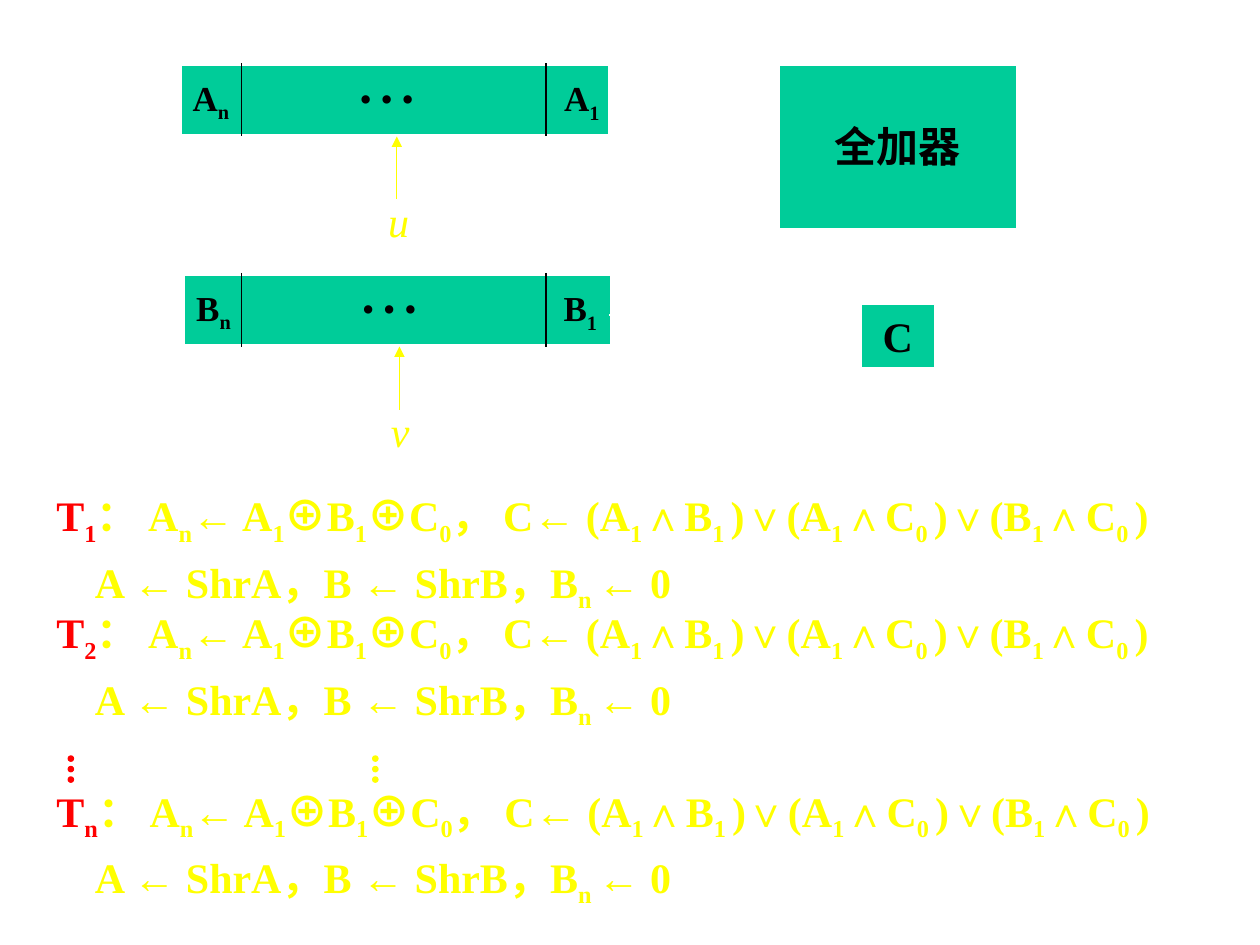
from dataclasses import dataclass

import pptx
import pptx.dml.color
import pptx.enum.shapes
import pptx.enum.text
import pptx.oxml
import pptx.oxml.ns
import pptx.util

Pt = pptx.util.Pt
ALIGN = pptx.enum.text.PP_ALIGN
SHAPE = pptx.enum.shapes.MSO_SHAPE
COLORS = {"box": "00CC99", "ink": "000000", "wire": "FFFFFF",
          "formula": "FFFF00", "step": "FF0000"}
SERIF = "Times New Roman"
CJK = "Noto Sans CJK SC"


@dataclass
class Style:
    size: float = 24
    color: str = "ink"
    bold: bool = True
    italic: bool = False


@dataclass
class Register:
    name: str
    pointer: str
    left: float
    top: float
    low_bit_left: float


@dataclass
class Wire:
    points: list[tuple[float, float]]
    arrow: bool = True


def rgb(color: str) -> pptx.dml.color.RGBColor:
    return pptx.dml.color.RGBColor.from_string(COLORS[color])


def add_markup(paragraph, markup: str, style: Style) -> None:
    """Add runs; braces enclose subscripts, and ⊕ takes the CJK font."""
    for index, part in enumerate(markup.replace("}", "{").split("{")):
        for piece in part.replace("⊕", "|⊕|").split("|"):
            if not piece:
                continue
            run = paragraph.add_run()
            run.text = piece
            font = run.font
            font.size, font.bold, font.italic = Pt(style.size), style.bold, style.italic
            font.color.rgb = rgb(style.color)
            font.name = CJK if piece == "⊕" else SERIF
            properties = run._r.get_or_add_rPr()
            east_asian = pptx.oxml.parse_xml(
                f'<a:ea {pptx.oxml.ns.nsdecls("a")} typeface="{CJK}"/>')
            properties.find(pptx.oxml.ns.qn("a:latin")).addnext(east_asian)
            if index % 2:
                properties.set("baseline", "-25000")


def fill_text(shape, markup: str, style: Style, align=ALIGN.CENTER) -> None:
    frame = shape.text_frame
    frame.word_wrap = True
    frame.auto_size = pptx.enum.text.MSO_AUTO_SIZE.SHAPE_TO_FIT_TEXT
    frame.paragraphs[0].alignment = align
    add_markup(frame.paragraphs[0], markup, style)


def add_label(slide, left: float, top: float, width: float, height: float,
              markup: str, style: Style, align=ALIGN.CENTER) -> None:
    box = slide.shapes.add_textbox(Pt(left), Pt(top), Pt(width), Pt(height))
    fill_text(box, markup, style, align)


def add_block(slide, left: float, top: float, width: float, height: float,
              fill: str = "box", border: str = "wire", weight: float = 3,
              kind=SHAPE.RECTANGLE):
    block = slide.shapes.add_shape(kind, Pt(left), Pt(top), Pt(width), Pt(height))
    block.shadow.inherit = False
    block.fill.solid()
    block.fill.fore_color.rgb = rgb(fill)
    block.line.color.rgb = rgb(border)
    block.line.width = Pt(weight)
    return block


def add_line(slide, start: tuple[float, float], end: tuple[float, float],
             color: str, arrow: bool = False) -> None:
    line = slide.shapes.add_connector(
        pptx.enum.shapes.MSO_CONNECTOR.STRAIGHT,
        Pt(start[0]), Pt(start[1]), Pt(end[0]), Pt(end[1]))
    line.line.color.rgb = rgb(color)
    line.line.width = Pt(0.75)
    ns = pptx.oxml.ns.nsdecls("a")
    if arrow:
        line.line._get_or_add_ln().append(
            pptx.oxml.parse_xml(f'<a:tailEnd {ns} type="triangle"/>'))
    line._element.spPr.append(pptx.oxml.parse_xml(f"<a:effectLst {ns}/>"))


def add_wire(slide, wire: Wire) -> None:
    last = len(wire.points) - 2
    for index, (start, end) in enumerate(zip(wire.points, wire.points[1:])):
        add_line(slide, start, end, "wire", wire.arrow and index == last)


def add_register(slide, reg: Register) -> None:
    bit = Style(size=20)
    add_block(slide, reg.left, reg.top, 246, 42)
    add_label(slide, reg.left - 2, reg.top + 4, 39.6, 34.6, reg.name + "{n}", bit)
    add_label(slide, reg.left + 93.75, reg.top + 4, 49, 31.7, "• • •",
              Style(size=20, bold=False))
    add_label(slide, reg.low_bit_left, reg.top + 4.4, 39.6, 34.6, reg.name + "{1}", bit)
    for x in (138, 312):
        add_line(slide, (x, reg.top), (x, reg.top + 42), "ink")
    # Pointer below the register
    x = reg.left + 124
    add_line(slide, (x, reg.top + 78), (x, reg.top + 42), "formula", True)
    add_label(slide, x - 12, reg.top + 72, 42, 36, reg.pointer,
              Style(color="formula", bold=False, italic=True), ALIGN.LEFT)


def add_steps(slide, names: list[str]) -> None:
    box = slide.shapes.add_textbox(Pt(25.2), Pt(282), Pt(674.6), Pt(240))
    frame = box.text_frame
    frame.word_wrap = True
    formula = Style(color="formula")
    for index, name in enumerate(names):
        add = frame.paragraphs[0] if index == 0 else frame.add_paragraph()
        if index:
            # The last step leaves room for the vertical ellipsis
            add.space_before = Pt(41 if name == names[-1] else 6)
        add_markup(add, f"T{{{name}}}", Style(color="step"))
        add_markup(add, "： A{n}← A{1}⊕B{1}⊕C{0}， C← (A{1}∧B{1 })∨(A{1}∧C{0 })∨(B{1}∧C{0 })",
                   formula)
        shift = frame.add_paragraph()
        shift.space_before = Pt(15)
        shift._p.get_or_add_pPr().set("marL", str(Pt(22)))
        add_markup(shift, "A ← ShrA，B ← ShrB，B{n }← 0", formula)
        add.line_spacing = shift.line_spacing = 0.7


def main() -> None:
    deck = pptx.Presentation()
    deck.slide_width, deck.slide_height = Pt(720), Pt(540)
    slide = deck.slides.add_slide(deck.slide_layouts[6])

    # Registers
    for reg in (Register("A", "u", 102.75, 36, 312.7),
                Register("B", "v", 104.25, 156, 311.8)):
        add_register(slide, reg)

    # Full adder and carry
    add_block(slide, 444, 36, 138, 96)
    add_label(slide, 450, 65.5, 126, 36, "全加器", Style())
    carry = add_block(slide, 492, 174, 42, 36, weight=0.75)
    fill_text(carry, "C", Style())

    # Data paths
    for wire in (
        Wire([(60, 174), (102, 174)]),
        Wire([(348, 54), (444, 54)]),
        Wire([(348, 180), (390, 180), (390, 84), (444, 84)]),
        Wire([(492, 192), (414, 192), (414, 120), (444, 120)]),
        Wire([(582, 66), (624, 66), (624, 6), (60, 6), (60, 54), (102, 54)]),
        Wire([(582, 108), (624, 108), (624, 192), (534, 192)]),
    ):
        add_wire(slide, wire)

    # Micro-operations, with vertical ellipses before the last step
    add_steps(slide, ["1", "2", "n"])
    for x, color in ((39, "step"), (213, "formula")):
        for row in range(3):
            add_block(slide, x, 432 + 6 * row, 3, 3, color, color, 0.75, SHAPE.OVAL)

    deck.save("out.pptx")


if __name__ == "__main__":
    main()
